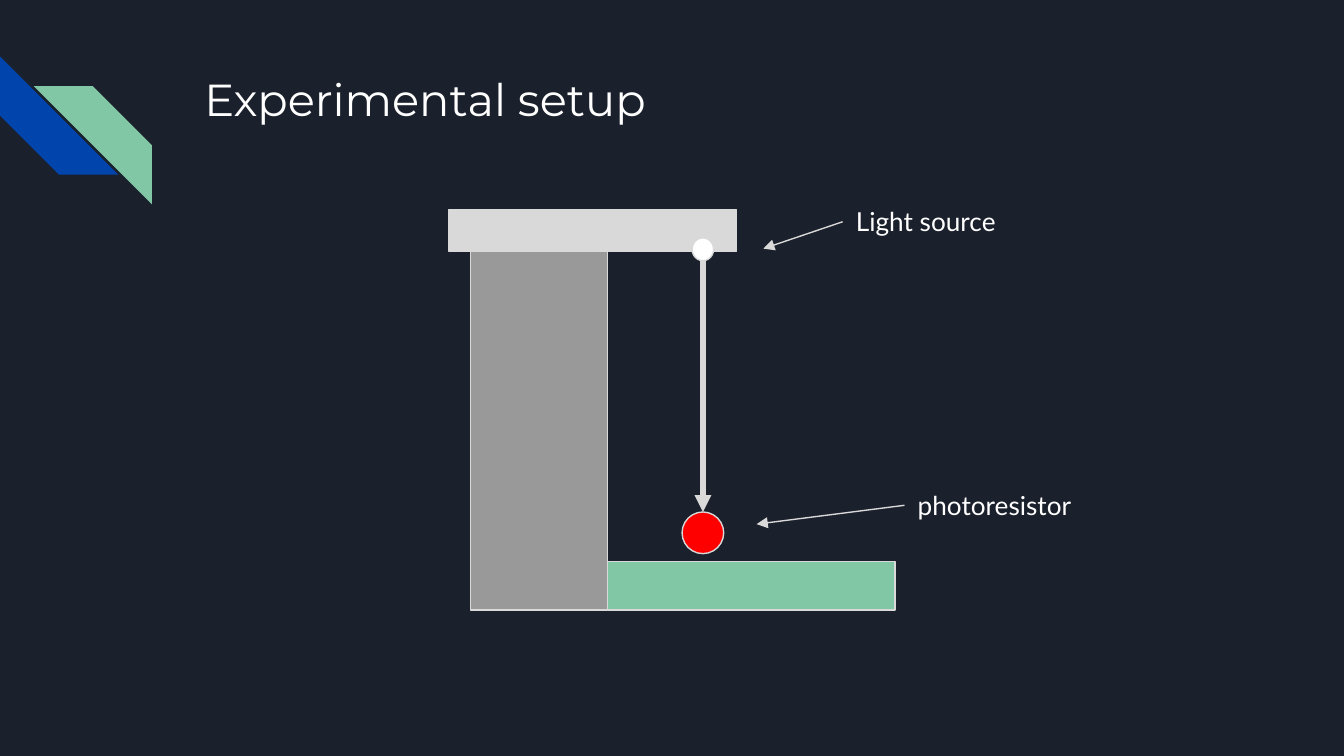
from lxml import etree
from pptx import Presentation
from pptx.dml.color import RGBColor
from pptx.enum.shapes import MSO_CONNECTOR, MSO_SHAPE
from pptx.enum.text import MSO_ANCHOR, PP_ALIGN
from pptx.oxml.ns import qn
from pptx.util import Inches, Pt

RECTANGLE = MSO_SHAPE.RECTANGLE
OVAL = MSO_SHAPE.OVAL
DIAGONAL_STRIPE = MSO_SHAPE.DIAGONAL_STRIPE
STRAIGHT = MSO_CONNECTOR.STRAIGHT
TOP = MSO_ANCHOR.TOP
LEFT = PP_ALIGN.LEFT

NAVY = RGBColor(0x1B, 0x21, 0x2C)
BLUE = RGBColor(0x01, 0x45, 0xAC)
GREEN = RGBColor(0x82, 0xC7, 0xA5)
LIGHT_GRAY = RGBColor(0xD9, 0xD9, 0xD9)
GRAY = RGBColor(0x99, 0x99, 0x99)
RED = RGBColor(0xFF, 0x00, 0x00)
WHITE = RGBColor(0xFF, 0xFF, 0xFF)


def add_solid(slide, preset, left, top, width, height, color, outline=None):
    solid = slide.shapes.add_shape(
        preset, Inches(left), Inches(top), Inches(width), Inches(height))
    solid.shadow.inherit = False
    solid.fill.solid()
    solid.fill.fore_color.rgb = color
    if outline is None:
        solid.line.fill.background()
    else:
        solid.line.color.rgb = outline
        solid.line.width = Pt(0.75)
    return solid


def add_arrow(slide, start, end, weight):
    arrow = slide.shapes.add_connector(
        STRAIGHT, *(Inches(value) for value in (*start, *end)))
    arrow.line.color.rgb = LIGHT_GRAY
    arrow.line.width = Pt(weight)
    etree.SubElement(arrow.line._get_or_add_ln(), qn("a:tailEnd"), type="triangle")
    etree.SubElement(arrow._element.spPr, qn("a:effectLst"))


def format_text(frame, text, font_name, size):
    frame.word_wrap = True
    frame.vertical_anchor = TOP
    frame.margin_left = frame.margin_right = Inches(0.1)
    frame.margin_top = frame.margin_bottom = Inches(0.1)
    frame.text = text
    paragraph = frame.paragraphs[0]
    paragraph.alignment = LEFT
    paragraph.font.name = font_name
    paragraph.font.size = Pt(size)
    paragraph.font.color.rgb = WHITE


def add_corner_stripes(slide, left, top, size):
    blue_stripe = add_solid(slide, DIAGONAL_STRIPE, left, top, size, size, BLUE)
    blue_stripe.rotation = 270
    green_stripe = add_solid(
        slide, DIAGONAL_STRIPE, left + 0.25, top + size / 4, size, size, GREEN)
    green_stripe._element.spPr.xfrm.set("flipH", "1")


def set_title(slide, left, top, width, height):
    title = slide.shapes.title
    title.left, title.top = Inches(left), Inches(top)
    title.width, title.height = Inches(width), Inches(height)
    format_text(title.text_frame, "Experimental setup", "Montserrat", 24)


def add_apparatus(slide, left, top, width, height):
    bar_width, arm_height, base_height = 2.14, 0.31, 0.36
    column_left, column_width = left + 0.16, 1.02
    bottom = top + height
    beam_x = left + 1.89
    sensor_top, sensor_size = top + 2.25, 0.31
    lamp_width, lamp_height = 0.16, 0.17
    lamp_top = top + 0.21

    add_solid(slide, RECTANGLE, left, top, bar_width, arm_height, LIGHT_GRAY, LIGHT_GRAY)
    add_solid(slide, RECTANGLE, column_left, top + arm_height,
              column_width, height - arm_height, GRAY, LIGHT_GRAY)
    add_solid(slide, RECTANGLE, left + width - bar_width, bottom - base_height,
              bar_width, base_height, GREEN, LIGHT_GRAY)
    add_solid(slide, OVAL, beam_x - sensor_size / 2, sensor_top,
              sensor_size, sensor_size, RED, LIGHT_GRAY)
    add_solid(slide, OVAL, beam_x - lamp_width / 2, lamp_top,
              lamp_width, lamp_height, WHITE, LIGHT_GRAY)
    add_arrow(slide, (beam_x, lamp_top + lamp_height), (beam_x, sensor_top), 3)


def add_callout(slide, text, left, top, width, height, target):
    label = slide.shapes.add_textbox(
        Inches(left), Inches(top), Inches(width), Inches(height))
    format_text(label.text_frame, text, "Lato", 14)
    add_arrow(slide, (left, top + height / 2), target, 0.75)


def main():
    presentation = Presentation()
    presentation.slide_width = Inches(10)
    presentation.slide_height = Inches(10 * 9 / 16)
    slide = presentation.slides.add_slide(presentation.slide_layouts[5])
    slide.background.fill.solid()
    slide.background.fill.fore_color.rgb = NAVY

    add_corner_stripes(slide, 0, 0.42, 0.88)
    set_title(slide, 1.42, 0.43, 7.7, 1)
    add_apparatus(slide, 3.34, 1.56, 3.32, 2.98)
    add_callout(slide, "Light source", 6.27, 1.43, 1.69, 0.44, (5.68, 1.85))
    add_callout(slide, "photoresistor", 6.73, 3.54, 1.44, 0.44, (5.63, 3.9))
    presentation.save("out.pptx")


if __name__ == "__main__":
    main()
